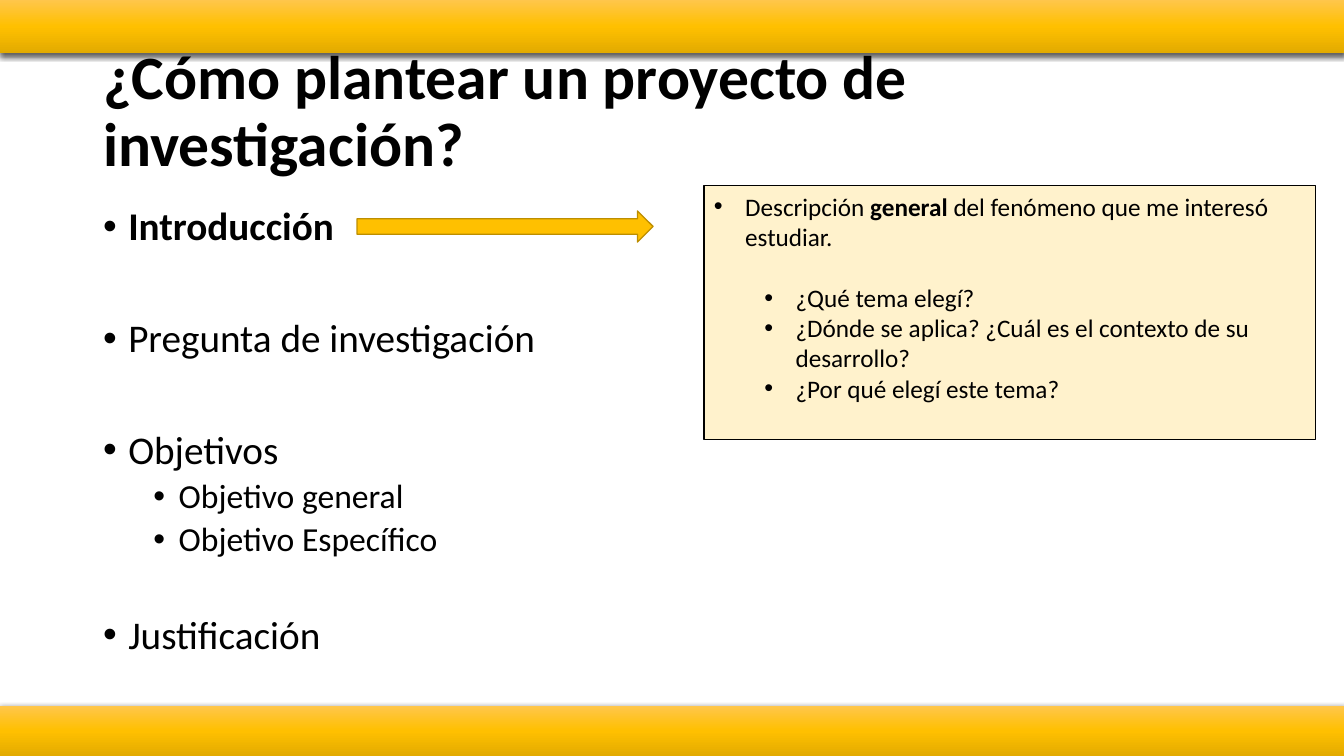
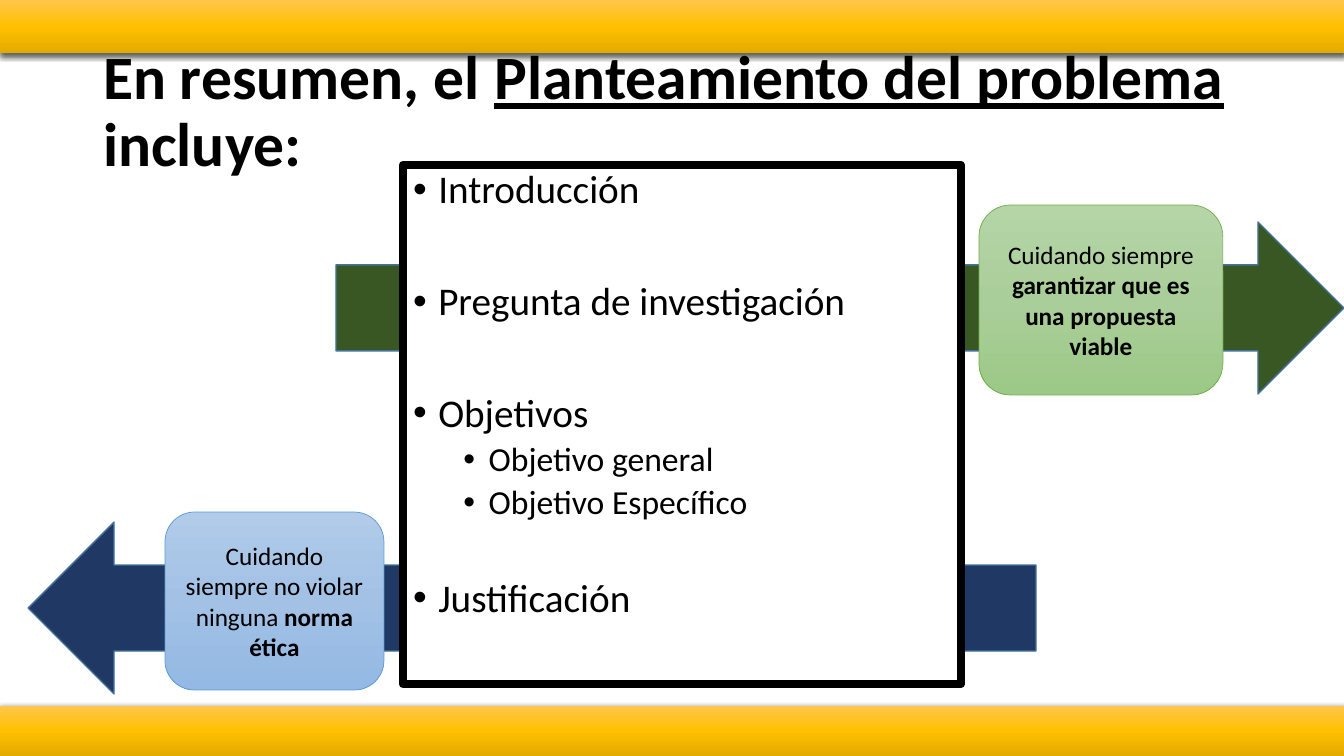
import copy

import pptx
import pptx.dml.color
import pptx.enum.shapes
import pptx.enum.text
import pptx.oxml
import pptx.oxml.ns
import pptx.util

SHAPE = pptx.enum.shapes.MSO_SHAPE
ALIGN = pptx.enum.text.PP_ALIGN
ANCHOR = pptx.enum.text.MSO_ANCHOR
FIT = pptx.enum.text.MSO_AUTO_SIZE
Pt = pptx.util.Pt

EMU_PER_PX = 914400 / 100.8
WIDTH, HEIGHT = 1344, 756
FONT = "Calibri"
BLACK, WHITE = "000000", "FFFFFF"
GOLD, GOLD_LINE, CREAM = "FFC000", "BD8E00", "FFF2CC"
GOLD_FADE = ["FFC64B", GOLD, "E3AB00"]
GREEN_FADE = ["B5D5A7", "AACE9A", "9CC987"]
BLUE_FADE = ["B1CBE9", "A3C1E5", "93B9E4"]
ARROW_LINE = "43739E"
BOLD = {"bold": True}
TITLE_BOX = (93, 40, 1159, 146)
BANDS = [(0, 0, WIDTH, 53), (0, 706, WIDTH, 50)]
# Outline entries: text, level, size, space before
OUTLINE = [
    ("Introducción", 0, 28, 10),
    ("Pregunta de investigación", 0, 28, 49.5),
    ("Objetivos", 0, 28, 49.5),
    ("Objetivo general", 1, 24, 5),
    ("Objetivo Específico", 1, 24, 5),
    ("Justificación", 0, 28, 40),
]


def px(n):
    """Convert pixels to EMU."""
    return pptx.util.Emu(round(n * EMU_PER_PX))


def rgb(code):
    """Turn a hex string into a colour."""
    return pptx.dml.color.RGBColor.from_string(code)


def apply(obj, fmt):
    """Set each attribute named in a dict."""
    for name, value in fmt.items():
        setattr(obj, name, value)


def place(sp, box):
    """Move and size a shape to a pixel box."""
    apply(sp, dict(zip(("left", "top", "width", "height"), map(px, box))))


def paint(sp, fill, line=None, width=1):
    """Fill with one colour or a list fading downwards, then set the outline."""
    if isinstance(fill, list):
        sp.fill.gradient()
        sp.fill.gradient_angle = 270
        stops = sp.element.find(".//" + pptx.oxml.ns.qn("a:gsLst"))
        while len(stops) < len(fill):
            stops.append(copy.deepcopy(stops[-1]))
        for i, (stop, code) in enumerate(zip(sp.fill.gradient_stops, fill)):
            stop.position = i / (len(fill) - 1)
            stop.color.rgb = rgb(code)
    else:
        sp.fill.solid()
        sp.fill.fore_color.rgb = rgb(fill)
    if line:
        sp.line.color.rgb = rgb(line)
        sp.line.width = Pt(width)
    else:
        sp.line.fill.background()


def add_shape(s, kind, box, fill, line=None, width=1):
    """Add a painted preset shape without a shadow."""
    sp = s.shapes.add_shape(kind, *map(px, box))
    sp.shadow.inherit = False
    paint(sp, fill, line, width)
    return sp


def add_band(s, box):
    """Add a golden band with a soft shadow below it."""
    sp = add_shape(s, SHAPE.RECTANGLE, box, GOLD_FADE)
    effects = sp.element.spPr.find(pptx.oxml.ns.qn("a:effectLst"))
    effects.append(pptx.oxml.parse_xml(
        f'<a:outerShdw {pptx.oxml.ns.nsdecls("a")} blurRad="{Pt(4.5)}" '
        f'dist="{Pt(1.5)}" dir="5400000" rotWithShape="0"><a:srgbClr val="{BLACK}">'
        '<a:alpha val="63000"/></a:srgbClr></a:outerShdw>'))


def write(p, runs, size, **fmt):
    """Write (text, font format) runs into a paragraph."""
    apply(p, fmt)
    for text, font in runs:
        r = p.add_run()
        r.text = text
        apply(r.font, {"name": FONT, "size": Pt(size), "bold": False, **font})
        r.font.color.rgb = rgb(BLACK)


def set_bullet(p, left, hang):
    """Give a paragraph a round bullet with a hanging indent in inches."""
    pPr = p._p.get_or_add_pPr()
    pPr.set("marL", str(pptx.util.Inches(left)))
    pPr.set("indent", str(-pptx.util.Inches(hang)))
    for tag in ('buFont typeface="Arial"', 'buChar char="•"'):
        pPr.append(pptx.oxml.parse_xml(f'<a:{tag} {pptx.oxml.ns.nsdecls("a")}/>'))


def write_list(tf, items, hang, spacing):
    """Write (runs, level, size, space before) items as a bulleted list."""
    for i, (runs, level, size, before) in enumerate(items):
        p = tf.add_paragraph() if i else tf.paragraphs[0]
        write(p, runs, size, level=level, alignment=ALIGN.LEFT,
              line_spacing=spacing, space_before=Pt(before))
        set_bullet(p, hang + level * 0.5, hang)


def add_slide(prs, title_runs, body_box, bold_item=None):
    """Add a slide with title, bands and outline; return slide and outline."""
    s = prs.slides.add_slide(prs.slide_layouts[1])
    title, body = s.shapes.title, s.placeholders[1]
    place(title, TITLE_BOX)
    apply(title.text_frame, {"auto_size": FIT.NONE, "vertical_anchor": ANCHOR.MIDDLE})
    write(title.text_frame.paragraphs[0],
          [(text, {**BOLD, **font}) for text, font in title_runs], 44,
          alignment=ALIGN.LEFT, line_spacing=0.9)
    for box in BANDS:
        add_band(s, box)
    place(body, body_box)
    body.element.getparent().append(body.element)
    apply(body.text_frame, {"auto_size": FIT.NONE, "vertical_anchor": ANCHOR.TOP})
    items = [([(text, BOLD if text == bold_item else {})], *rest)
             for text, *rest in OUTLINE]
    write_list(body.text_frame, items, 0.25, 0.9)
    return s, body


def add_back_arrow(s, box, fill, rotation=0):
    """Add a wide arrow behind everything else."""
    sp = add_shape(s, SHAPE.RIGHT_ARROW, box, fill, ARROW_LINE)
    sp.rotation = rotation
    sp.element.getparent().insert(2, sp.element)


def add_reminder(s, box, fill, line, runs):
    """Add a rounded box with centred text."""
    sp = add_shape(s, SHAPE.ROUNDED_RECTANGLE, box, fill, line, 0.5)
    apply(sp.text_frame, {"word_wrap": True, "vertical_anchor": ANCHOR.MIDDLE})
    write(sp.text_frame.paragraphs[0], runs, 18, alignment=ALIGN.CENTER)


def add_callout(s, box, items):
    """Add a cream box with a bulleted list."""
    sp = add_shape(s, SHAPE.RECTANGLE, box, CREAM, BLACK, 0.75)
    apply(sp.text_frame, {"word_wrap": True, "vertical_anchor": ANCHOR.TOP})
    write_list(sp.text_frame, items, 0.31, 1.0)


def build_introduction(prs):
    """Build the slide that explains the introduction."""
    s, _ = add_slide(prs, [("¿Cómo plantear un proyecto de investigación?", {})],
                     (93, 202, 1159, 480), "Introducción")
    add_shape(s, SHAPE.RIGHT_ARROW, (357, 211, 296, 31), GOLD, GOLD_LINE)
    add_callout(s, (704, 186, 612, 254), [
        ([("Descripción ", {}), ("general ", BOLD),
          ("del fenómeno que me interesó estudiar.", {})], 0, 18, 0),
        ([("¿Qué tema elegí?", {})], 1, 18, 22),
        ([("¿Dónde se aplica? ¿Cuál es el contexto de su desarrollo?", {})], 1, 18, 0),
        ([("¿Por qué elegí este tema?", {})], 1, 18, 0),
    ])


def build_summary(prs):
    """Build the slide that sums up the problem statement."""
    s, body = add_slide(prs, [
        ("En resumen, el ", {}),
        ("Planteamiento del problema ", {"underline": True}),
        ("incluye:", {}),
    ], (403, 165, 558, 519))
    paint(body, WHITE, BLACK, 6)
    add_back_arrow(s, (336, 222, 1008, 172), "385723")
    add_back_arrow(s, (28, 522, 1008, 172), "203864", 180)
    add_reminder(s, (979, 205, 244, 190), GREEN_FADE, "70AD47", [
        ("Cuidando siempre ", {}), ("garantizar que es una propuesta viable", BOLD)])
    add_reminder(s, (165, 512, 219, 178), BLUE_FADE, "5B9BD5", [
        ("Cuidando siempre no violar ninguna ", {}), ("norma ética", BOLD)])


def main():
    """Build and save the presentation."""
    prs = pptx.Presentation()
    apply(prs, {"slide_width": px(WIDTH), "slide_height": px(HEIGHT)})
    build_introduction(prs)
    build_summary(prs)
    prs.save("out.pptx")


main()
